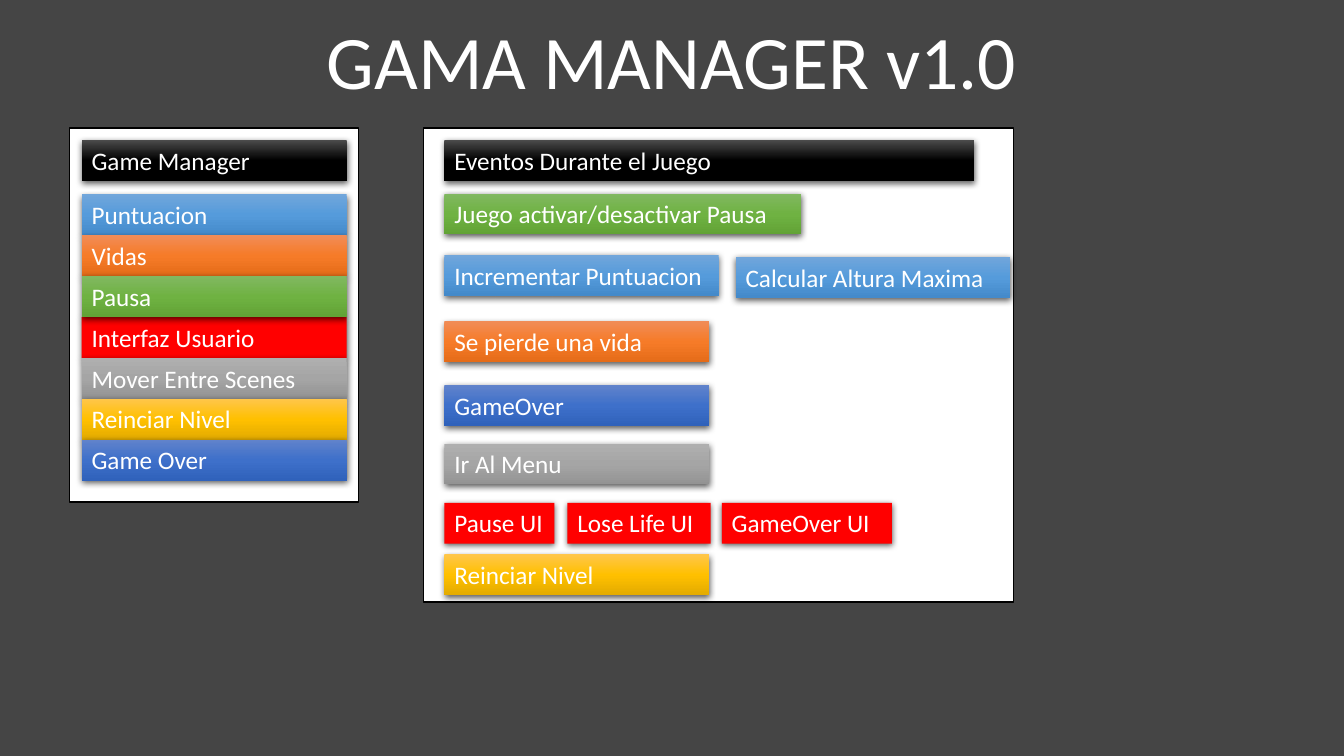
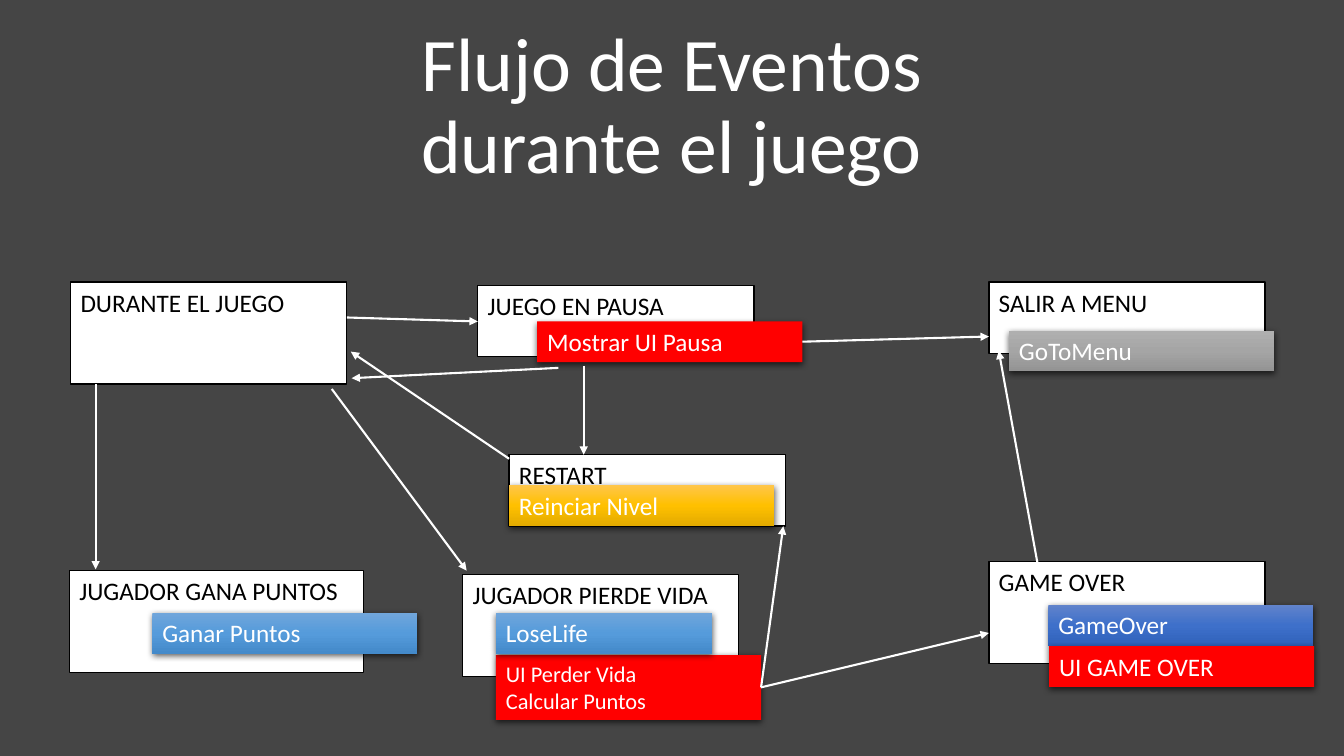
from copy import deepcopy
from lxml import etree
from pptx import Presentation
from pptx import util as u
from pptx.dml import color
from pptx.enum import shapes, text
from pptx.oxml import ns

FONT = "Calibri"
COLORS = {"back": "454545", "white": "FFFFFF", "black": "000000", "red": "FF0000"}
GRADIENTS = {
    "dark": ("4B4B4B", "000000", "000000"),
    "blue": ("71A6DB", "559BDB", "448ACA"),
    "orange": ("F18C57", "F67B28", "E56C19"),
    "green": ("81B861", "6FB242", "62A336"),
    "gray": ("AFAFAF", "A5A5A5", "939393"),
    "gold": ("FFC64B", "FFC000", "E3AB00"),
    "navy": ("6183CB", "3E70CA", "3062BB"),
}
RGB = color.RGBColor.from_string
TAG_WIDTH, TAG_HEIGHT, CARD_WIDTH = 6.68, 1.03, 6.96


def write(frame, words, size=18, ink="white", align=text.PP_ALIGN.LEFT,
          anchor=text.MSO_ANCHOR.TOP, spacing=1.0):
    frame.word_wrap = True
    frame.auto_size = text.MSO_AUTO_SIZE.NONE
    frame.vertical_anchor = anchor
    frame.text = words
    for para in frame.paragraphs:
        para.alignment = align
        para.line_spacing = spacing
        for span in para.runs:
            span.font.name = FONT
            span.font.size = u.Pt(size)
            span.font.color.rgb = RGB(COLORS[ink])


def add_box(page, words, left, top, width=TAG_WIDTH, height=TAG_HEIGHT, tone="white", size=18):
    box = page.shapes.add_shape(shapes.MSO_SHAPE.RECTANGLE,
                                u.Cm(left), u.Cm(top), u.Cm(width), u.Cm(height))
    box.shadow.inherit = False
    properties = box.element.spPr
    if tone in GRADIENTS:
        box.fill.gradient()
        box.fill.gradient_angle = 270
        first = properties.find(".//" + ns.qn("a:gs"))
        first.addnext(deepcopy(first))
        for stop, position, shade in zip(box.fill.gradient_stops, (0, 0.5, 1), GRADIENTS[tone]):
            stop.position = position
            stop.color.rgb = RGB(shade)
    else:
        box.fill.solid()
        box.fill.fore_color.rgb = RGB(COLORS[tone])
    if tone == "white":
        box.line.color.rgb = RGB(COLORS["black"])
        box.line.width = u.Pt(1)
    else:
        box.line.fill.background()
        shadow = etree.SubElement(properties.find(ns.qn("a:effectLst")), ns.qn("a:outerShdw"),
                                  blurRad="57150", dist="19050", dir="5400000",
                                  algn="ctr", rotWithShape="0")
        shade = etree.SubElement(shadow, ns.qn("a:srgbClr"), val=COLORS["black"])
        etree.SubElement(shade, ns.qn("a:alpha"), val="63000")
    if words:
        write(box.text_frame, words, size=size, ink="black" if tone == "white" else "white")


deck = Presentation()
deck.slide_width, deck.slide_height = u.Cm(33.87), u.Cm(19.05)
backdrop = deck.slide_master.background.fill
backdrop.solid()
backdrop.fore_color.rgb = RGB(COLORS["back"])

pages = []
for heading, top in (("GAMA MANAGER v1.0", 0.86), ("Flujo de Eventos durante el juego", 2.97)):
    page = deck.slides.add_slide(deck.slide_layouts[0])
    subtitle = page.placeholders[1].element
    subtitle.getparent().remove(subtitle)
    title = page.shapes.title
    title.left, title.top = u.Cm(7.77), u.Cm(top)
    title.width, title.height = u.Cm(18.31), u.Cm(1.93)
    write(title.text_frame, heading, size=54, align=text.PP_ALIGN.CENTER,
          anchor=text.MSO_ANCHOR.BOTTOM, spacing=0.9)
    pages.append(page)
manager, flow = pages

add_box(manager, "", 1.75, 3.23, 7.29, 9.42)
add_box(manager, "Game Manager", 2.06, 3.53, tone="dark")
for slot, words, tone in (
    (0, "Puntuacion", "blue"),
    (1, "Vidas", "orange"),
    (3, "Interfaz Usuario", "red"),
    (4, "Mover Entre Scenes", "gray"),
    (5, "Reinciar Nivel", "gold"),
    (6, "Game Over", "navy"),
    (2, "Pausa", "green"),
):
    add_box(manager, words, 2.06, 4.9 + slot * TAG_HEIGHT, tone=tone)

add_box(manager, "", 10.67, 3.23, 14.88, 11.94)
for words, left, top, width, tone in (
    ("Eventos Durante el Juego", 11.2, 3.53, 13.36, "dark"),
    ("Juego activar/desactivar Pausa", 11.2, 4.88, 8.99, "green"),
    ("Incrementar Puntuacion", 11.2, 6.43, 6.91, "blue"),
    ("Calcular Altura Maxima", 18.54, 6.48, 6.91, "blue"),
    ("Se pierde una vida", 11.2, 8.1, TAG_WIDTH, "orange"),
    ("GameOver", 11.2, 9.7, TAG_WIDTH, "navy"),
    ("Ir Al Menu", 11.2, 11.18, TAG_WIDTH, "gray"),
    ("Pause UI", 11.2, 12.67, 2.77, "red"),
    ("Lose Life UI", 14.3, 12.67, 3.61, "red"),
    ("GameOver UI", 18.19, 12.67, 4.29, "red"),
    ("Reinciar Nivel", 11.2, 13.97, TAG_WIDTH, "gold"),
):
    add_box(manager, words, left, top, width, tone=tone)

for words, left, top, width, height in (
    ("DURANTE EL JUEGO", 1.78, 7.11, CARD_WIDTH, 2.57),
    ("JUEGO EN PAUSA", 12.04, 7.19, CARD_WIDTH, 1.8),
    ("SALIR A MENU", 24.92, 7.11, CARD_WIDTH, 1.8),
    ("JUGADOR GANA PUNTOS", 1.75, 14.38, 7.42, 2.57),
    ("JUGADOR PIERDE VIDA", 11.66, 14.48, CARD_WIDTH, 2.57),
    ("RESTART", 12.83, 11.46, CARD_WIDTH, 1.8),
    ("GAME OVER", 24.92, 14.15, CARD_WIDTH, 2.57),
):
    add_box(flow, words, left, top, width, height)

add_box(flow, "UI Perder Vida\nCalcular Puntos", 12.5, 16.51, height=1.63, tone="red", size=16)
for words, left, top, width, tone in (
    ("Mostrar UI Pausa", 13.54, 8.1, TAG_WIDTH, "red"),
    ("GoToMenu", 25.43, 8.33, TAG_WIDTH, "gray"),
    ("Ganar Puntos", 3.84, 15.44, TAG_WIDTH, "blue"),
    ("Reinciar Nivel", 12.83, 12.22, TAG_WIDTH, "gold"),
    ("GameOver", 26.42, 15.24, TAG_WIDTH, "navy"),
    ("LoseLife", 12.5, 15.44, 5.44, "blue"),
    ("UI GAME OVER", 26.44, 16.28, TAG_WIDTH, "red"),
):
    add_box(flow, words, left, top, width, tone=tone)

for ends in (
    (20.22, 8.61, 24.92, 8.48),
    (8.74, 8, 12.04, 8.1),
    (2.41, 9.68, 2.41, 14.35),
    (8.36, 9.8, 11.76, 14.38),
    (19.18, 17.32, 19.74, 13.26),
    (12.83, 11.56, 8.84, 8.86),
    (14.71, 9.22, 14.71, 11.46),
    (19.18, 17.32, 24.92, 15.95),
    (26.16, 14.27, 25.17, 8.84),
    (14.07, 9.27, 8.86, 9.53),
):
    arrow = flow.shapes.add_connector(shapes.MSO_CONNECTOR.STRAIGHT, *map(u.Cm, ends))
    arrow.line.color.rgb = RGB(COLORS["white"])
    arrow.line.width = u.Pt(1.5)
    properties = arrow.element.spPr
    etree.SubElement(properties.find(ns.qn("a:ln")), ns.qn("a:tailEnd"), type="triangle")
    etree.SubElement(properties, ns.qn("a:effectLst"))

deck.save("out.pptx")
